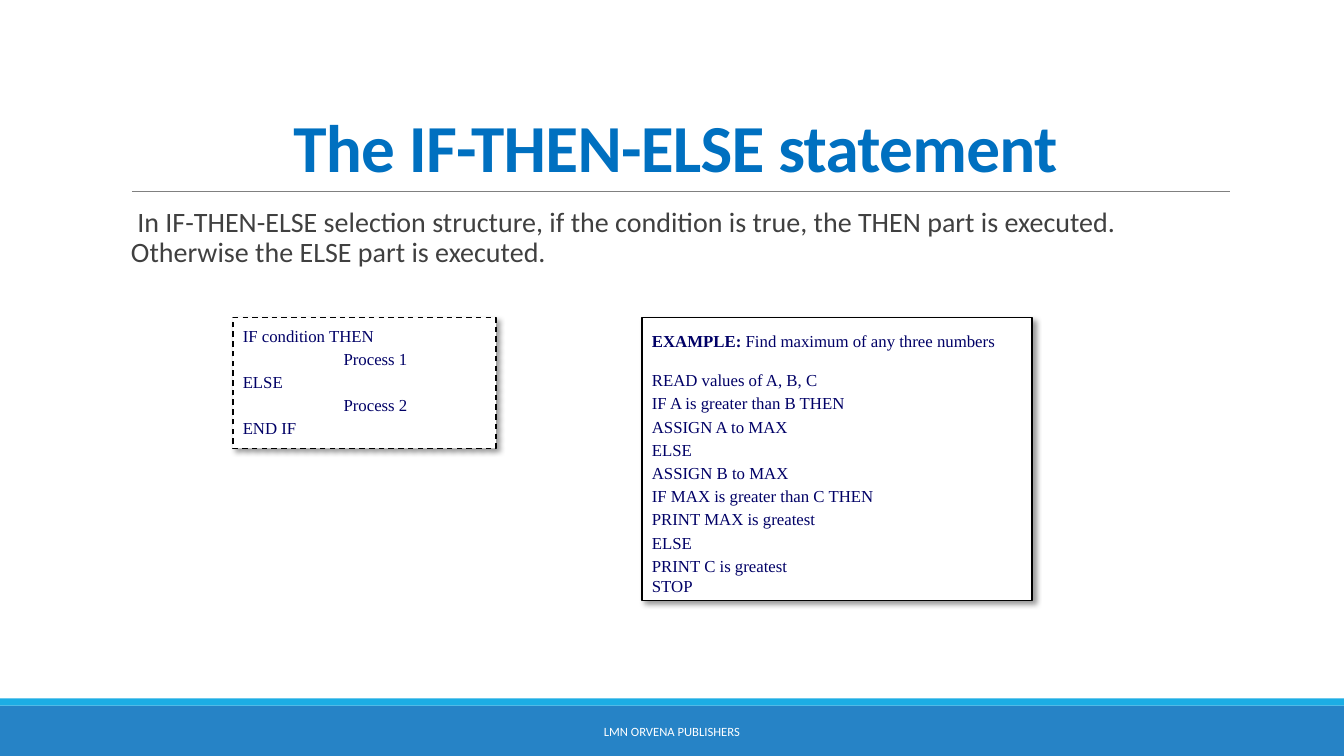
"""Build the slide that explains the IF-THEN-ELSE statement."""
from dataclasses import dataclass, replace

from lxml import etree
from pptx import Presentation
from pptx import util as u
from pptx.dml.color import RGBColor
from pptx.enum import dml, shapes, text
from pptx.oxml import ns

COLORS = {
    "title": "0070C0", "body": "404040", "code": "000066", "white": "FFFFFF",
    "black": "000000", "rule": "808080", "footer": "2683C6", "stripe": "1CADE4",
}
LEFT, CENTER, JUSTIFY = text.PP_ALIGN.LEFT, text.PP_ALIGN.CENTER, text.PP_ALIGN.JUSTIFY
TOP, MIDDLE, BOTTOM = text.MSO_ANCHOR.TOP, text.MSO_ANCHOR.MIDDLE, text.MSO_ANCHOR.BOTTOM


@dataclass(frozen=True)
class Box:
    left: float
    top: float
    width: float
    height: float


@dataclass(frozen=True)
class Line:
    words: str
    lead: str = ""
    spacing: float = 1.0
    before: float = 0
    after: float = 0
    margin: float = 0
    indent: float = 0


@dataclass(frozen=True)
class CodeBox:
    box: Box
    lines: list[Line]
    align: text.PP_ALIGN
    dashed: bool = False
    inset: float = 3.6


def rgb(name: str) -> RGBColor:
    return RGBColor.from_string(COLORS[name])


def write(shape, lines: list[Line], *, size: float, color: str, font: str = "Calibri",
          bold: bool = False, align=LEFT, anchor=TOP, side: float = 7.2,
          inset: float = 3.6, tracking: int = 0) -> None:
    frame = shape.text_frame
    frame.word_wrap = True
    frame.vertical_anchor = anchor
    frame.margin_left = frame.margin_right = u.Pt(side)
    frame.margin_top, frame.margin_bottom = u.Pt(inset), u.Pt(3.6)
    for index, line in enumerate(lines):
        paragraph = frame.add_paragraph() if index else frame.paragraphs[0]
        paragraph.alignment = align
        paragraph.line_spacing = line.spacing
        paragraph.space_before, paragraph.space_after = u.Pt(line.before), u.Pt(line.after)
        properties = paragraph._p.get_or_add_pPr()
        properties.set("marL", str(u.Pt(line.margin)))
        properties.set("indent", str(u.Pt(line.indent)))
        for words, strong in ((line.lead, True), (line.words, bold)):
            if not words:
                continue
            run = paragraph.add_run()
            run.text = words
            run.font.name, run.font.size, run.font.bold = font, u.Pt(size), strong
            run.font.color.rgb = rgb(color)
            if tracking:
                run._r.get_or_add_rPr().set("spc", str(tracking))


def add_rectangle(slide, box: Box, fill: str):
    shape = slide.shapes.add_shape(
        shapes.MSO_SHAPE.RECTANGLE, *map(u.Pt, (box.left, box.top, box.width, box.height)))
    shape.shadow.inherit = False
    shape.fill.solid()
    shape.fill.fore_color.rgb = rgb(fill)
    shape.line.fill.background()
    return shape


def add_text(slide, box: Box, lines: list[Line], **style) -> None:
    shape = slide.shapes.add_textbox(
        *map(u.Pt, (box.left, box.top, box.width, box.height)))
    write(shape, lines, **style)


def add_rule(slide, left: float, right: float, top: float) -> None:
    rule = slide.shapes.add_connector(
        shapes.MSO_CONNECTOR.STRAIGHT, *map(u.Pt, (left, top, right, top)))
    rule.line.color.rgb = rgb("rule")
    rule.line.width = u.Pt(0.5)
    etree.SubElement(rule._element.spPr, ns.qn("a:effectLst"))


def add_code_box(slide, code: CodeBox) -> None:
    shape = add_rectangle(slide, code.box, "white")
    shape.line.color.rgb = rgb("black")
    shape.line.width = u.Pt(1)
    if code.dashed:
        shape.line.dash_style = dml.MSO_LINE.DASH
    effects = shape._element.spPr.find(ns.qn("a:effectLst"))
    shadow = etree.SubElement(
        effects, ns.qn("a:outerShdw"), blurRad=str(u.Pt(4)), dist=str(u.Pt(3)),
        dir=str(45 * 60000), algn="tl", rotWithShape="0")
    tint = etree.SubElement(shadow, ns.qn("a:srgbClr"), val=COLORS["black"])
    etree.SubElement(tint, ns.qn("a:alpha"), val="40000")
    write(shape, code.lines, size=12, color="code", font="Times New Roman",
          align=code.align, inset=code.inset)


def main() -> None:
    presentation = Presentation()
    presentation.slide_width, presentation.slide_height = u.Pt(960), u.Pt(540)
    slide = presentation.slides.add_slide(presentation.slide_layouts[6])

    add_rectangle(slide, Box(0, 504, 960, 36), "footer")
    add_rectangle(slide, Box(0, 498.8, 960, 5.2), "stripe")
    add_rule(slide, 94.2, 878.8, 136.8)
    add_text(slide, Box(86.4, 22.3, 792, 114.5),
             [Line("The IF-THEN-ELSE statement", spacing=0.85)],
             size=48, color="title", bold=True, align=CENTER, anchor=BOTTOM, tracking=-50)
    add_text(slide, Box(86.4, 145.4, 792, 316.8),
             [Line("In IF-THEN-ELSE selection structure, if the condition is true, the THEN "
                   "part is executed. Otherwise the ELSE part is executed.",
                   spacing=0.9, before=12, after=2, margin=7.2, indent=4.5)],
             size=20, color="body", side=0)

    syntax = [Line(words, spacing=1.15, margin=72 if words.startswith("Process") else 0)
              for words in ("IF condition THEN", "Process 1", "ELSE", "Process 2", "END IF")]
    steps = [Line(words, spacing=1.15) for words in (
        "READ values of A, B, C", "IF A is greater than B THEN", "ASSIGN A to MAX", "ELSE",
        "ASSIGN B to MAX", "IF MAX is greater than C THEN", "PRINT MAX is greatest", "ELSE",
        "PRINT C is greatest")]
    steps[0] = replace(steps[0], before=11.5)
    heading = Line("Find maximum of any three numbers", lead="EXAMPLE: ")
    for code in (
        CodeBox(Box(166.3, 226.8, 187.9, 93.6), syntax, JUSTIFY, dashed=True),
        CodeBox(Box(458.6, 226.8, 278.6, 202.3), [heading, *steps, Line("STOP")], LEFT,
                inset=9.4),
    ):
        add_code_box(slide, code)

    add_text(slide, Box(290.2, 508.3, 379.4, 28.8), [Line("LMN ORVENA PUBLISHERS")],
             size=9, color="white", align=CENTER, anchor=MIDDLE)
    presentation.save("out.pptx")


if __name__ == "__main__":
    main()
